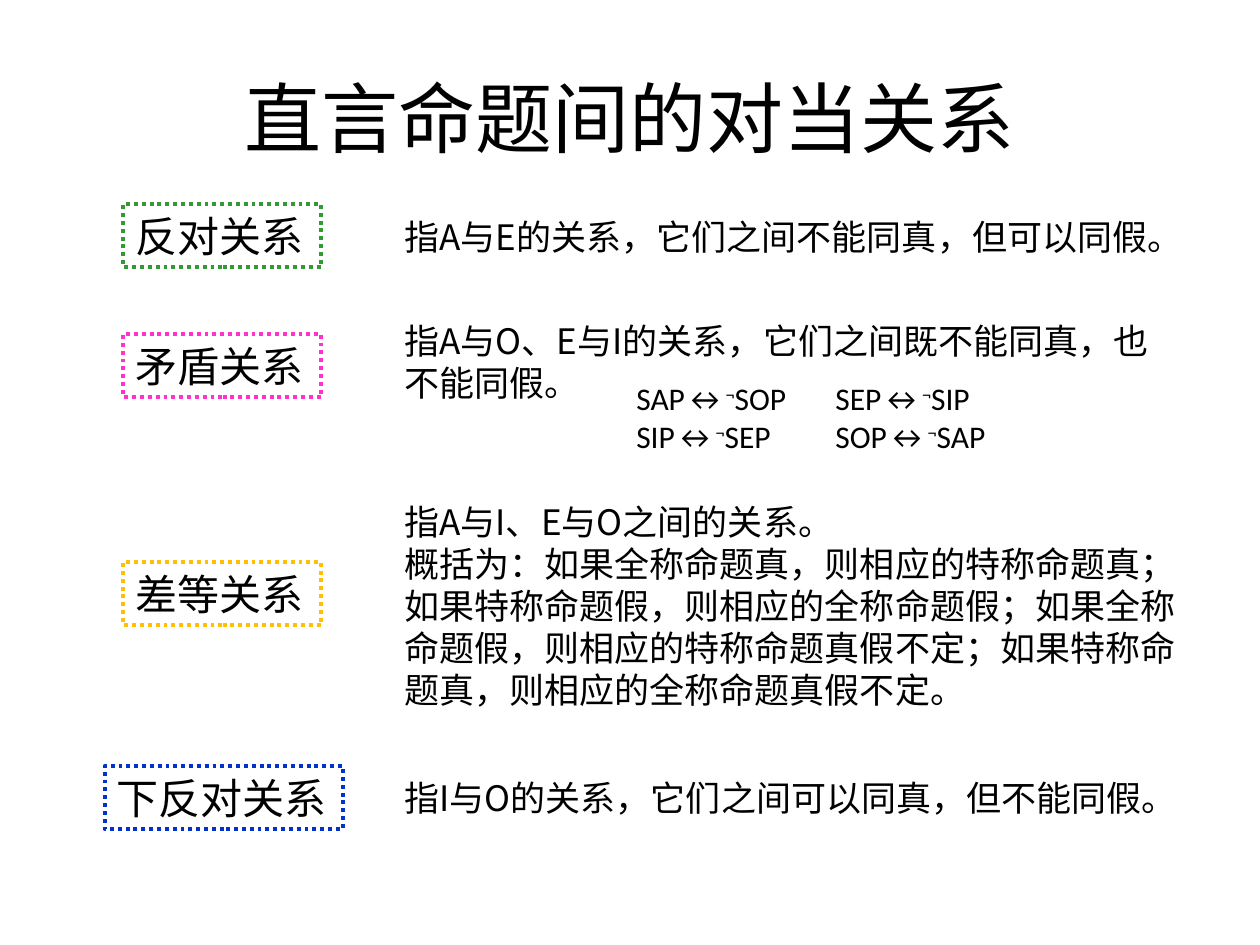
import pptx
import pptx.dml.color
import pptx.enum.dml
import pptx.enum.shapes
import pptx.enum.text
import pptx.oxml
import pptx.oxml.ns
import pptx.util
from pptx.util import Inches

COLORS = {
    "text": "000000",
    "contrary": "339933",
    "contradictory": "FF33CC",
    "subaltern": "FFC000",
    "subcontrary": "0033CC",
}
CJK_FONT = "Noto Sans CJK SC"
TITLE_FONT = "Noto Sans CJK JP"
LATIN_FONT = "Calibri"


def add_run(paragraph, text, size, font_name):
    run = paragraph.add_run()
    run.text = text
    run.font.size = pptx.util.Pt(size)
    run.font.color.rgb = pptx.dml.color.RGBColor.from_string(COLORS["text"])
    run.font.name = font_name
    if font_name != LATIN_FONT:
        east_asian = pptx.oxml.parse_xml(
            f'<a:ea {pptx.oxml.ns.nsdecls("a")} typeface="{font_name}"/>')
        run.font._element.append(east_asian)
    return run


def add_text_box(left, top, width, height):
    text_box = slide.shapes.add_textbox(
        Inches(left), Inches(top), Inches(width), Inches(height))
    text_box.text_frame.word_wrap = True
    return text_box.text_frame


presentation = pptx.Presentation()
presentation.slide_width = Inches(10)
presentation.slide_height = Inches(7.5)
slide = presentation.slides.add_slide(presentation.slide_layouts[6])

# Title
title_frame = add_text_box(0.5, 0.3, 9, 1.25)
title_frame.vertical_anchor = pptx.enum.text.MSO_ANCHOR.MIDDLE
title = title_frame.paragraphs[0]
title.alignment = pptx.enum.text.PP_ALIGN.CENTER
add_run(title, "直言命题间的对当关系", 44, TITLE_FONT)

# Relations: label, colour, label (left, top, width), text (top, width, height), paragraphs
relations = [
    ("反对关系", "contrary", (0.98, 1.62, 1.57), (1.66, 6.22, 0.44),
     ["指A与E的关系，它们之间不能同真，但可以同假。"]),
    ("矛盾关系", "contradictory", (0.98, 2.65, 1.57), (2.49, 6.38, 0.77),
     ["指A与O、E与I的关系，它们之间既不能同真，也不能同假。"]),
    ("差等关系", "subaltern", (0.98, 4.46, 1.57), (3.92, 6.38, 1.78),
     ["指A与I、E与O之间的关系。",
      "概括为：如果全称命题真，则相应的特称命题真；如果特称命题假，则相应的全称命题假；"
      "如果全称命题假，则相应的特称命题真假不定；如果特称命题真，则相应的全称命题真假不定。"]),
    ("下反对关系", "subcontrary", (0.83, 6.08, 1.89), (6.11, 6.38, 0.44),
     ["指I与O的关系，它们之间可以同真，但不能同假。"]),
]
for label, color, (left, top, width), (text_top, text_width, text_height), texts in relations:
    shape = slide.shapes.add_shape(
        pptx.enum.shapes.MSO_SHAPE.RECTANGLE,
        Inches(left), Inches(top), Inches(width), Inches(0.5))
    shape.shadow.inherit = False
    shape.fill.background()
    shape.line.color.rgb = pptx.dml.color.RGBColor.from_string(COLORS[color])
    shape.line.width = pptx.util.Pt(2.25)
    shape.line.dash_style = pptx.enum.dml.MSO_LINE.ROUND_DOT
    shape.text_frame.word_wrap = False
    paragraph = shape.text_frame.paragraphs[0]
    paragraph.alignment = pptx.enum.text.PP_ALIGN.LEFT
    paragraph.line_spacing = pptx.util.Pt(29)
    add_run(paragraph, label, 24, CJK_FONT)

    text_frame = add_text_box(3.11, text_top, text_width, text_height)
    for index, text in enumerate(texts):
        paragraph = text_frame.add_paragraph() if index else text_frame.paragraphs[0]
        paragraph.line_spacing = pptx.util.Pt(24)
        add_run(paragraph, text, 20, CJK_FONT)

# Equivalences in two tabbed columns
equivalences = [
    [("SAP", "SOP"), ("SEP", "SIP")],
    [("SIP", "SEP"), ("SOP", "SAP")],
]
formula_frame = add_text_box(4.45, 2.96, 4.02, 1.01)
formula_frame.margin_left = Inches(0.6)
for row, pairs in enumerate(equivalences):
    paragraph = formula_frame.add_paragraph() if row else formula_frame.paragraphs[0]
    paragraph._p.get_or_add_pPr().append(pptx.oxml.parse_xml(
        f'<a:tabLst {pptx.oxml.ns.nsdecls("a")}>'
        f'<a:tab pos="{Inches(1.58)}" algn="l"/></a:tabLst>'))
    for column, (proposition, negated) in enumerate(pairs):
        separator = "\t" if column else ""
        add_run(paragraph, f"{separator}{proposition}↔", 18, LATIN_FONT)
        negation = add_run(paragraph, "¬", 18, LATIN_FONT)
        negation.font._element.set("baseline", "30000")
        add_run(paragraph, negated, 18, LATIN_FONT)

presentation.save("out.pptx")
